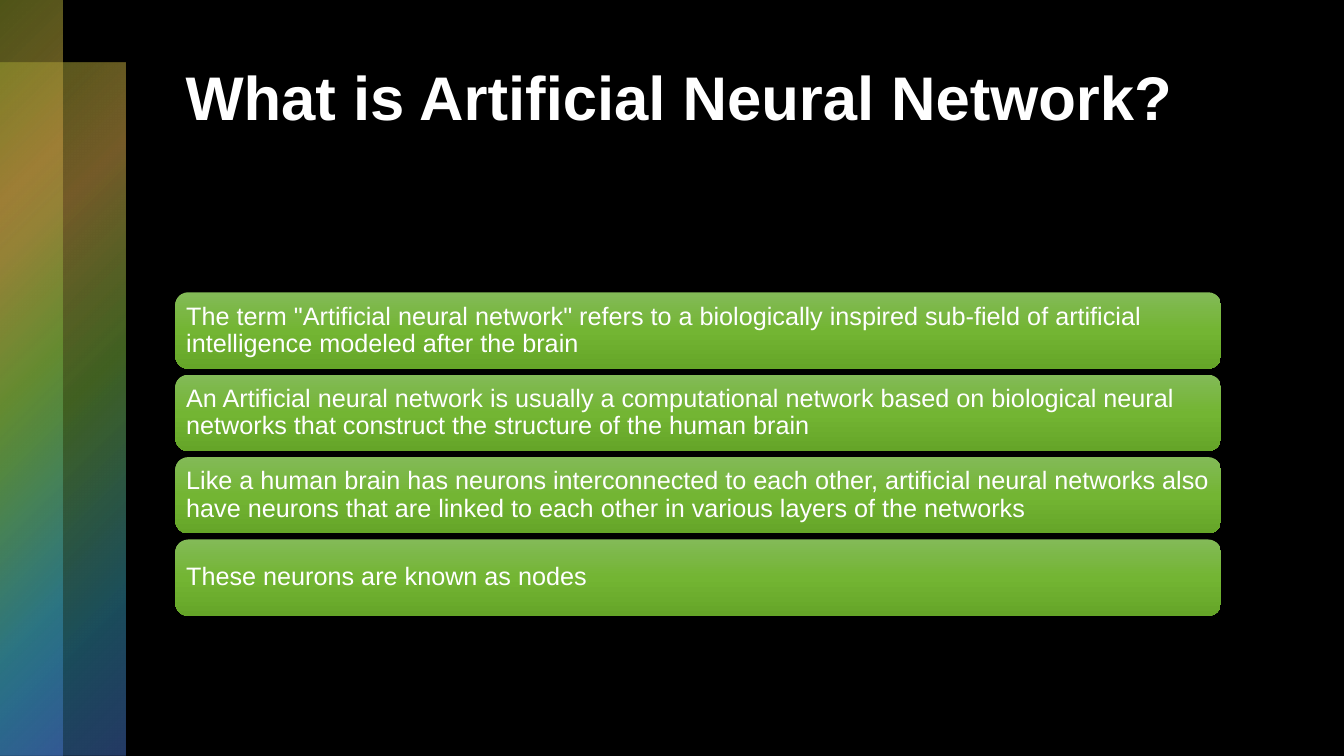
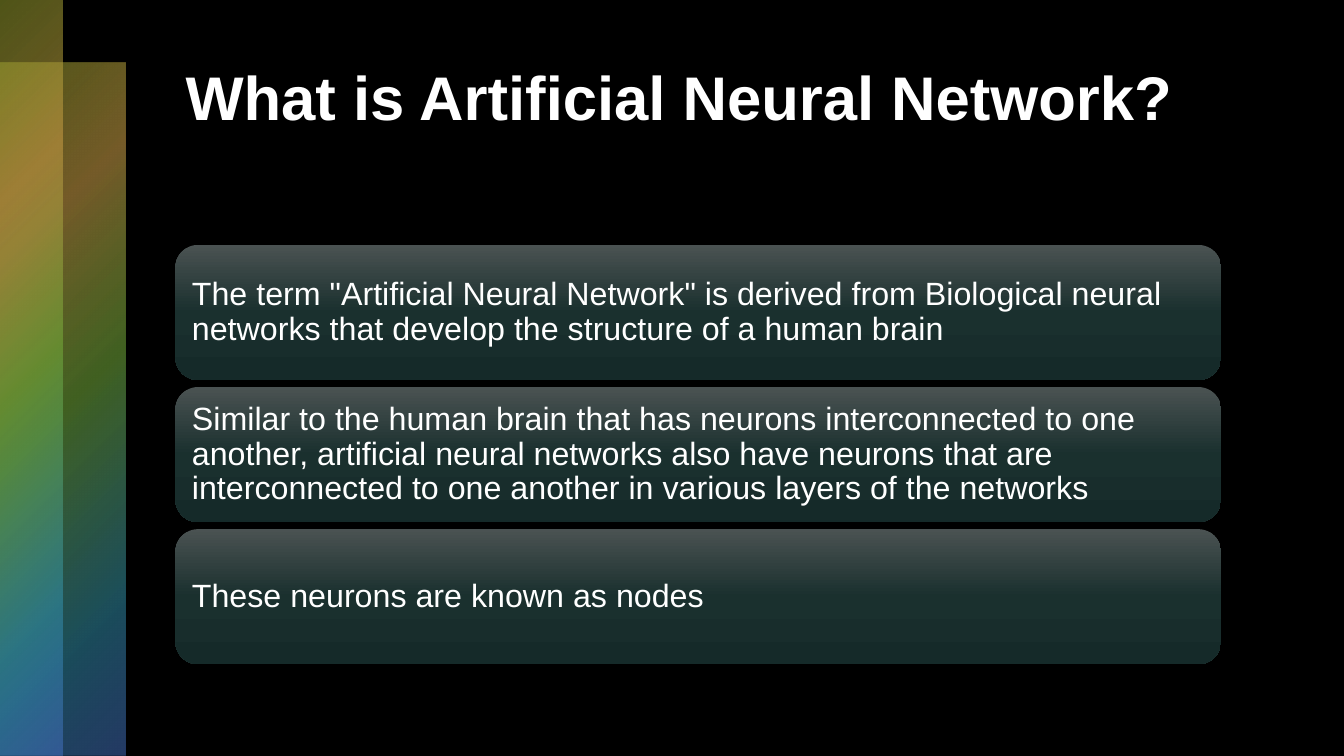
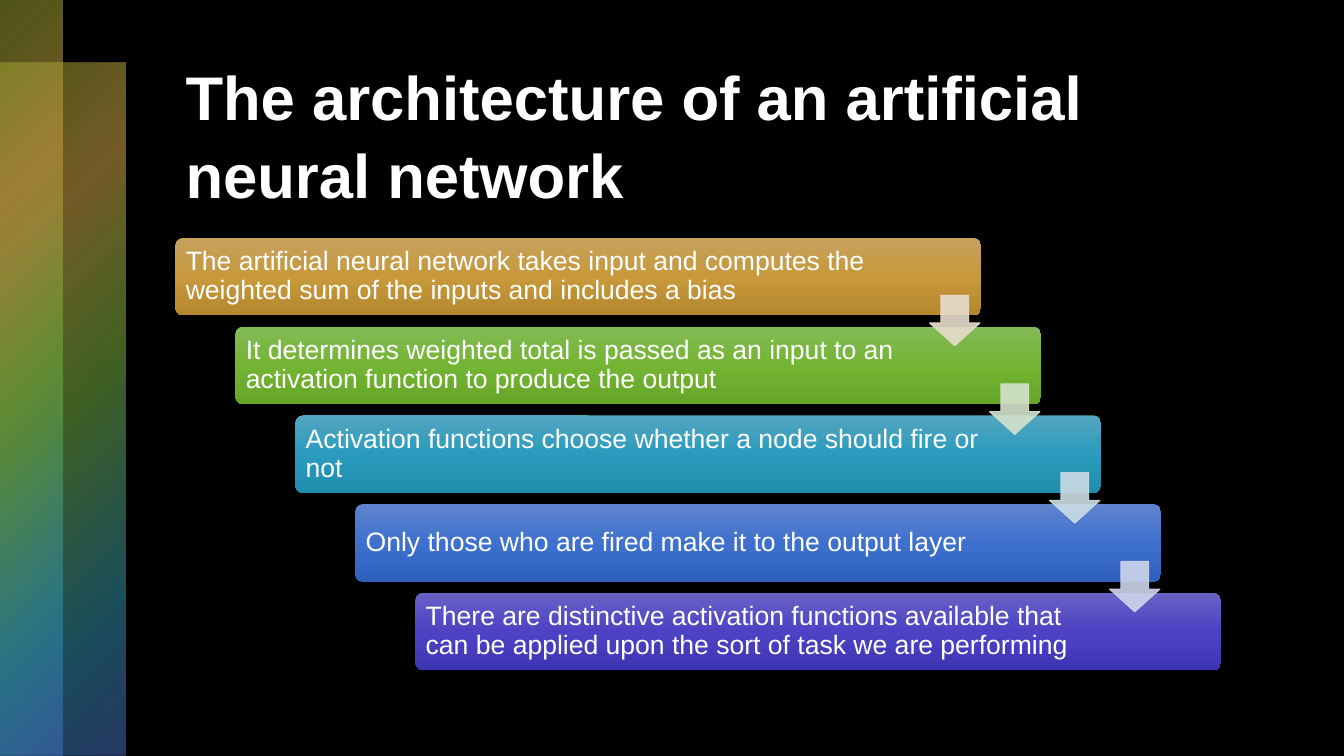
from dataclasses import dataclass

from lxml.etree import SubElement
from pptx import Presentation
from pptx.dml.color import RGBColor as RGB
from pptx.enum.shapes import MSO_SHAPE as SHAPE
from pptx.enum.text import MSO_ANCHOR as ANCHOR, MSO_AUTO_SIZE as AUTO, PP_ALIGN as ALIGN
from pptx.oxml.ns import qn
from pptx.util import Inches, Pt


@dataclass(frozen=True)
class Theme:
    font: str = "Arial"
    back: str = "000000"
    ink: str = "FFFFFF"
    title_size: int = 44
    gold: tuple = ("C7A15E", "C7993B", "B6882E")
    green: tuple = ("83BA57", "73B533", "65A528")
    teal: tuple = ("53A5C0", "2A9BBD", "1F8DAD")
    blue: tuple = ("6083CE", "3E71CD", "2E61BD")
    violet: tuple = ("6862C5", "4D42C4", "3D34B3")
    dark: tuple = ("4A5252", "1A302E", "152A29")
    arrows: tuple = ("E7DDCD", "D5E3CD", "CCDDE5", "CED5EB")
    arrow_alpha: int = 90
    rainbow: tuple = (
        (0, "9EA930", 50), (25, "C29844", 60), (50, "76B03D", 55),
        (81, "3599B7", 50), (99, "4774C9", 50), (100, "4774C9", 50),
    )


T = Theme()
WIDTH, HEIGHT = 13.33, 7.5
BAND = 0.62
LEFT, BODY_W = 1.74, 10.37


def add_alpha(color, percent):
    SubElement(color, qn("a:alpha"), val=str(percent * 1000))


def fill_gradient(sp, stops, radial=False):
    sp.fill.gradient()
    grad = sp._element.spPr.find(qn("a:gradFill"))
    for child in list(grad):
        grad.remove(child)
    stop_list = SubElement(grad, qn("a:gsLst"))
    for pos, color, alpha in stops:
        stop = SubElement(stop_list, qn("a:gs"), pos=str(pos * 1000))
        rgb = SubElement(stop, qn("a:srgbClr"), val=color)
        if alpha < 100:
            add_alpha(rgb, alpha)
    if radial:
        circle = SubElement(grad, qn("a:path"), path="circle")
        SubElement(circle, qn("a:fillToRect"), r="100000", b="100000")
    else:
        SubElement(grad, qn("a:lin"), ang="5400000", scaled="0")


def add_shape(s, kind, x, y, w, h):
    sp = s.shapes.add_shape(kind, Inches(x), Inches(y), Inches(w), Inches(h))
    sp.shadow.inherit = False
    sp.line.fill.background()
    return sp


def write(tf, text, size, spacing, bold=False):
    tf.word_wrap = True
    tf.auto_size = AUTO.NONE
    p = tf.paragraphs[0]
    p.alignment = ALIGN.LEFT
    p.line_spacing = spacing
    r = p.add_run()
    r.text = text
    r.font.name = T.font
    r.font.size = Pt(size)
    r.font.bold = bold
    r.font.color.rgb = RGB.from_string(T.ink)


def set_insets(tf, left, top, right, bottom):
    tf.margin_left, tf.margin_top = Inches(left), Inches(top)
    tf.margin_right, tf.margin_bottom = Inches(right), Inches(bottom)


def add_bands(s):
    for x, y, w, h in ((0, BAND, 2 * BAND, HEIGHT - BAND), (0, 0, BAND, HEIGHT)):
        fill_gradient(add_shape(s, SHAPE.RECTANGLE, x, y, w, h), T.rainbow, radial=True)


def add_slide(prs, title):
    s = prs.slides.add_slide(prs.slide_layouts[5])
    add_bands(s)
    sp = s.shapes.title
    sp.left, sp.top = Inches(LEFT), Inches(0.5)
    sp.width, sp.height = Inches(BODY_W), Inches(1.7)
    tf = sp.text_frame
    tf.vertical_anchor = ANCHOR.TOP
    set_insets(tf, 0.1, 0.05, 0.1, 0.05)
    write(tf, title, T.title_size, 1.05, bold=True)
    return s


def add_card(s, box, text, colors, size, inset, right, corner):
    sp = add_shape(s, SHAPE.ROUNDED_RECTANGLE, *box)
    sp.adjustments[0] = corner
    fill_gradient(sp, [(pos, c, 100) for pos, c in zip((0, 50, 100), colors)])
    tf = sp.text_frame
    tf.vertical_anchor = ANCHOR.MIDDLE
    set_insets(tf, inset, inset, right, inset)
    write(tf, text, size, 0.9)


def add_arrow(s, x, y, color):
    sp = add_shape(s, SHAPE.DOWN_ARROW, x, y, 0.5, 0.5)
    sp.adjustments[0], sp.adjustments[1] = 0.55, 0.45
    sp.line.width = Pt(0.75)
    for fill in (sp.fill, sp.line.fill):
        fill.solid()
        fill.fore_color.rgb = RGB.from_string(color)
    for rgb in sp._element.spPr.iter(qn("a:srgbClr")):
        add_alpha(rgb, T.arrow_alpha)


def row_height(height, count, gap):
    return (height - gap * (count - 1)) / count


def add_stack(s, box, texts, colors, size, inset, gap):
    x, y, w, h = box
    row = row_height(h, len(texts), gap)
    for i, text in enumerate(texts):
        card = (x, y + i * (row + gap), w, row)
        add_card(s, card, text, colors, size, inset, inset, 0.167)


def add_staircase(s, box, steps, card_w, gap):
    x, y, w, h = box
    row = row_height(h, len(steps), gap)
    shift = (w - card_w) / (len(steps) - 1)
    for i, (text, colors) in enumerate(steps):
        card = (x + i * shift, y + i * (row + gap), card_w, row)
        add_card(s, card, text, colors, 19, 0.08, 1.18 if i else 0.97, 0.1)
    for i, color in enumerate(T.arrows):
        add_arrow(s, x + i * shift + card_w - 0.51, y + i * (row + gap) + row - 0.2, color)


def main():
    prs = Presentation()
    prs.slide_width, prs.slide_height = Inches(WIDTH), Inches(HEIGHT)
    back = prs.slide_master.background.fill
    back.solid()
    back.fore_color.rgb = RGB.from_string(T.back)

    s = add_slide(prs, "What is Artificial Neural Network?")
    add_stack(s, (LEFT, 2.9, BODY_W, 3.21), (
        'The term "Artificial neural network" refers to a biologically inspired '
        "sub-field of artificial intelligence modeled after the brain",
        "An Artificial neural network is usually a computational network based on "
        "biological neural networks that construct the structure of the human brain",
        "Like a human brain has neurons interconnected to each other, artificial neural "
        "networks also have neurons that are linked to each other in various layers of "
        "the networks",
        "These neurons are known as nodes",
    ), T.green, 18, 0.07, 0.06)

    s = add_slide(prs, "What is Artificial Neural Network?")
    add_stack(s, (LEFT, 2.43, BODY_W, 4.16), (
        'The term "Artificial Neural Network" is derived from Biological neural '
        "networks that develop the structure of a human brain",
        "Similar to the human brain that has neurons interconnected to one another, "
        "artificial neural networks also have neurons that are interconnected to one "
        "another in various layers of the networks",
        "These neurons are known as nodes",
    ), T.dark, 23, 0.1, 0.07)

    s = add_slide(prs, "The architecture of an artificial neural network")
    add_staircase(s, (LEFT, 2.36, BODY_W, 4.29), (
        ("The artificial neural network takes input and computes the weighted sum of "
         "the inputs and includes a bias", T.gold),
        ("It determines weighted total is passed as an input to an activation function "
         "to produce the output", T.green),
        ("Activation functions choose whether a node should fire or not", T.teal),
        ("Only those who are fired make it to the output layer", T.blue),
        ("There are distinctive activation functions available that can be applied upon "
         "the sort of task we are performing", T.violet),
    ), 7.99, 0.11)

    prs.save("out.pptx")


if __name__ == "__main__":
    main()
